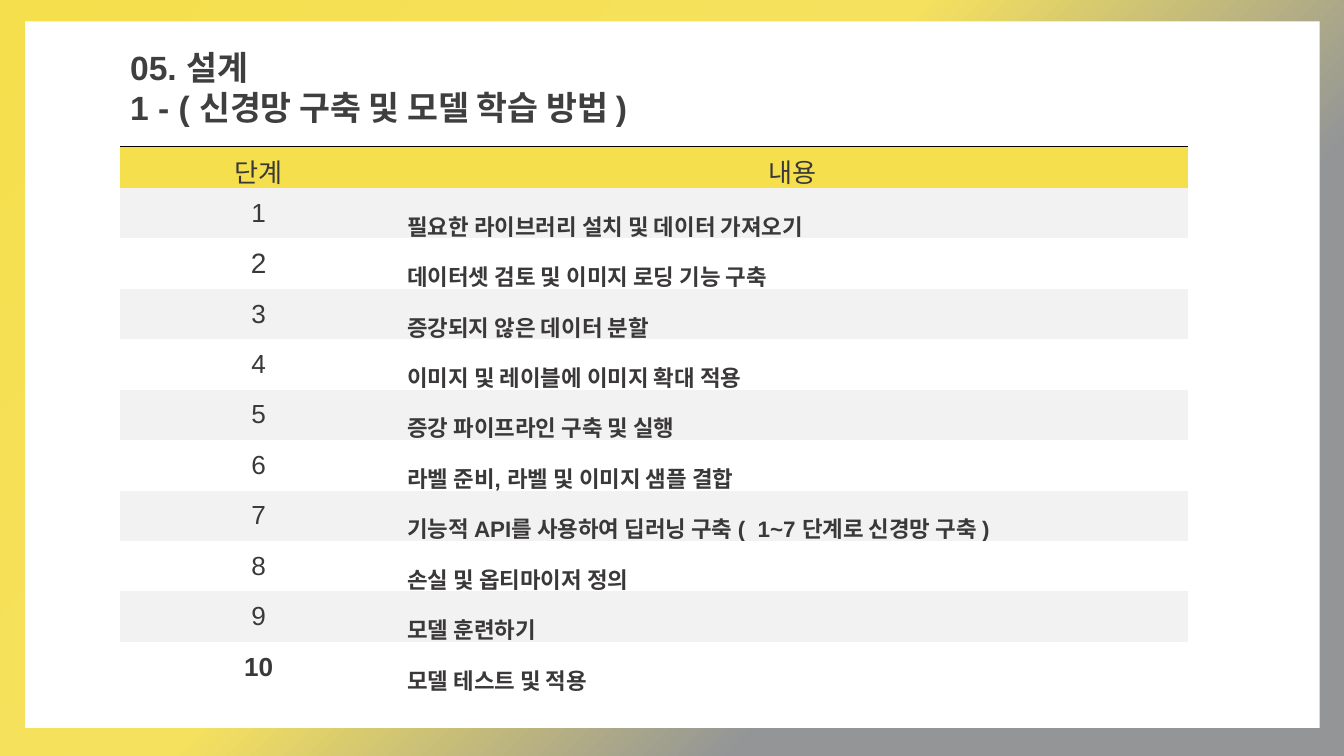
from typing import NamedTuple

from lxml import etree
from pptx import Presentation
from pptx import util as u
from pptx.dml import color
from pptx.enum import shapes, text
from pptx.oxml import ns

FONT = "Arial"
YELLOW, GREY, WHITE, BAND = "F5DF4D", "939597", "FFFFFF", "F2F2F2"
TITLE_TEXT, TABLE_TEXT = "3F3F3F", "3A3838"
NO_STYLE = "{2D5ABB26-0587-4C30-8999-92F81FD0307C}"


class Stop(NamedTuple):
    position: int
    hex_value: str
    opacity: int = 100


class Step(NamedTuple):
    label: str
    content: str
    size: int = 14
    bold: bool = False


STOPS = [Stop(0, YELLOW), Stop(44, "F5E15E", 69), Stop(71, GREY, 69), Stop(100, GREY)]
TITLE_LINES = ["05. 설계", "1 - ( 신경망 구축 및 모델 학습 방법 )"]
HEADINGS = ["단계", "내용"]
STEPS = [
    Step("1", "필요한 라이브러리 설치 및 데이터 가져오기"),
    Step("2", "데이터셋 검토 및 이미지 로딩 기능 구축", size=15),
    Step("3", "증강되지 않은 데이터 분할"),
    Step("4", "이미지 및 레이블에 이미지 확대 적용"),
    Step("5", "증강 파이프라인 구축 및 실행"),
    Step("6", "라벨 준비, 라벨 및 이미지 샘플 결합"),
    Step("7", "기능적 API를 사용하여 딥러닝 구축 (  1~7 단계로 신경망 구축 )"),
    Step("8", "손실 및 옵티마이저 정의"),
    Step("9", "모델 훈련하기"),
    Step("10", "모델 테스트 및 적용", bold=True),
]


def rgb(hex_value: str) -> color.RGBColor:
    return color.RGBColor.from_string(hex_value)


def add_xml(parent, tag: str, **attributes):
    return etree.SubElement(parent, ns.qn(tag), attributes)


def write_text(paragraph, content: str, *, size: int, hex_value: str, bold: bool = False,
               align=text.PP_ALIGN.LEFT, spacing: float = 1.0) -> None:
    paragraph.alignment = align
    paragraph.line_spacing = spacing
    run = paragraph.add_run()
    run.text = content
    run.font.name = FONT
    run.font.size = u.Pt(size)
    run.font.bold = bold
    run.font.color.rgb = rgb(hex_value)


def fill_background(slide, stops: list[Stop]) -> None:
    fill = slide.background.fill
    fill.gradient()
    fill.gradient_angle = 315
    stop_list = slide.element.find(".//" + ns.qn("a:gsLst"))
    for old_stop in list(stop_list):
        stop_list.remove(old_stop)
    for stop in stops:
        entry = add_xml(stop_list, "a:gs", pos=str(stop.position * 1000))
        value = add_xml(entry, "a:srgbClr", val=stop.hex_value)
        if stop.opacity < 100:
            add_xml(value, "a:alpha", val=str(stop.opacity * 1000))


def add_panel(slide):
    panel = slide.shapes.add_shape(shapes.MSO_SHAPE.RECTANGLE,
                                   u.Pt(13.5), u.Pt(11.5), u.Pt(693.5), u.Pt(378.5))
    panel.shadow.inherit = False
    panel.fill.solid()
    panel.fill.fore_color.rgb = rgb(WHITE)
    panel.line.fill.background()
    return panel


def format_title(title) -> None:
    title.left, title.top, title.width, title.height = map(u.Pt, (64.3, 22.5, 306, 49))
    frame = title.text_frame
    frame.word_wrap = True
    frame.auto_size = text.MSO_AUTO_SIZE.SHAPE_TO_FIT_TEXT
    frame.vertical_anchor = text.MSO_ANCHOR.TOP
    frame.margin_left = frame.margin_right = u.Pt(5.4)
    frame.margin_top = frame.margin_bottom = u.Pt(2.7)
    for index, line in enumerate(TITLE_LINES):
        paragraph = frame.add_paragraph() if index else frame.paragraphs[0]
        write_text(paragraph, line, size=18, hex_value=TITLE_TEXT, bold=True)


def write_cell(cell, content: str, fill: str, **text_format) -> None:
    cell.fill.solid()
    cell.fill.fore_color.rgb = rgb(fill)
    cell.vertical_anchor = text.MSO_ANCHOR.MIDDLE
    cell.margin_left = cell.margin_right = u.Pt(5.4)
    cell.margin_top = cell.margin_bottom = u.Pt(2.7)
    write_text(cell.text_frame.paragraphs[0], content, hex_value=TABLE_TEXT, **text_format)


def add_top_border(cell, hex_value: str, width: float) -> None:
    properties = cell.fill._xPr
    border = add_xml(properties, "a:lnT", w=str(u.Pt(width)))
    add_xml(add_xml(border, "a:solidFill"), "a:srgbClr", val=hex_value)
    properties.insert(0, border)


def add_step_table(slide) -> None:
    header_height, row_height = 22.2, 27
    frame = slide.shapes.add_table(len(STEPS) + 1, 2, u.Pt(64.3), u.Pt(78.5), u.Pt(572),
                                   u.Pt(header_height + row_height * len(STEPS)))
    table = frame.table
    table.first_row = table.horz_banding = False
    frame.element.find(".//" + ns.qn("a:tableStyleId")).text = NO_STYLE
    for column, width in zip(table.columns, (148.5, 423.5)):
        column.width = u.Pt(width)
    for index, row in enumerate(table.rows):
        row.height = u.Pt(row_height if index else header_height)

    # Header row
    for column, heading in enumerate(HEADINGS):
        cell = table.cell(0, column)
        write_cell(cell, heading, YELLOW, size=14, align=text.PP_ALIGN.CENTER)
        add_top_border(cell, "000000", 0.75)

    # Step rows in alternating bands
    for index, step in enumerate(STEPS, start=1):
        fill = BAND if index % 2 else WHITE
        write_cell(table.cell(index, 0), step.label, fill, size=step.size,
                   bold=step.bold, align=text.PP_ALIGN.CENTER)
        write_cell(table.cell(index, 1), step.content, fill, size=12, bold=True, spacing=1.5)


def main() -> None:
    presentation = Presentation()
    presentation.slide_width, presentation.slide_height = u.Pt(720), u.Pt(405)
    slide = presentation.slides.add_slide(presentation.slide_layouts[5])

    # Background and white panel, with the panel behind the title
    fill_background(slide, STOPS)
    title = slide.shapes.title
    title.element.addprevious(add_panel(slide).element)

    # Title and table
    format_title(title)
    add_step_table(slide)
    presentation.save("out.pptx")


if __name__ == "__main__":
    main()
